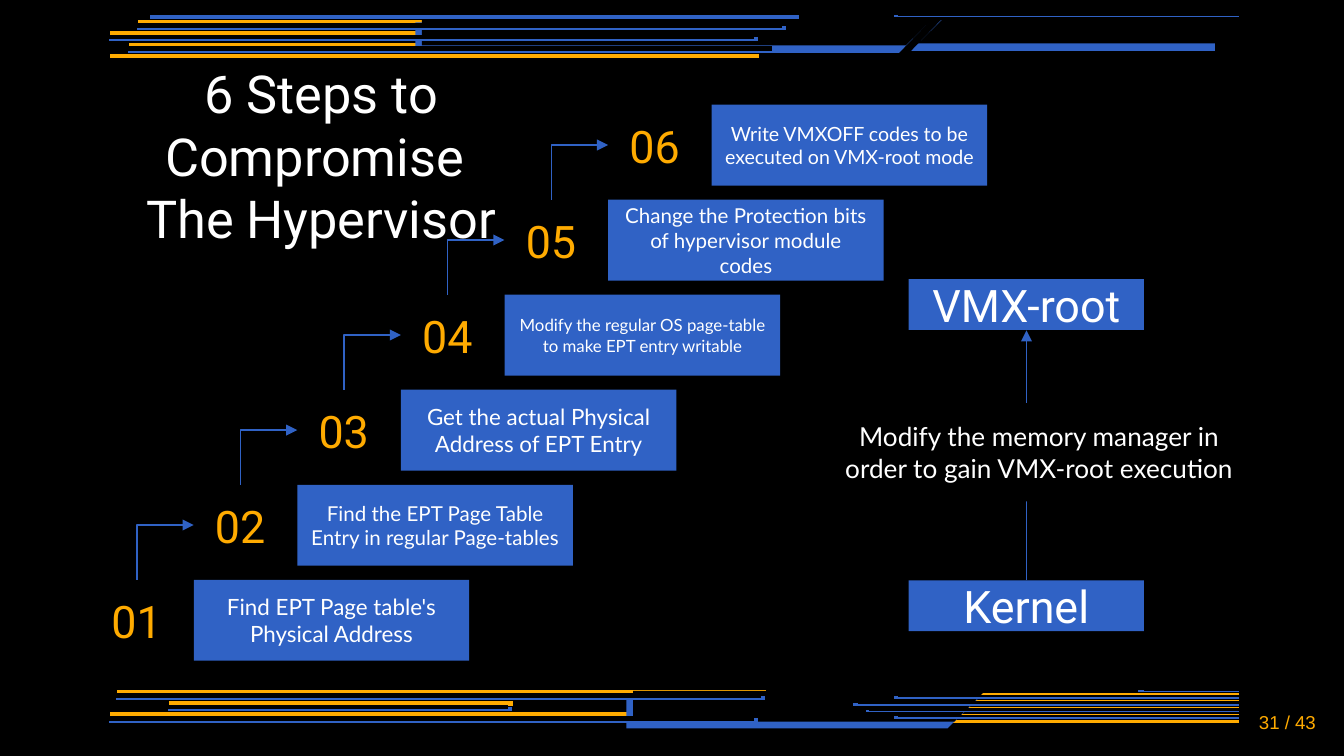
"""Build the slide with the six steps that compromise the hypervisor."""
from lxml import etree
from pptx import Presentation
from pptx.dml.color import RGBColor
from pptx.enum import shapes, text
from pptx.oxml import ns
from pptx.util import Pt

BLACK = RGBColor(0x00, 0x00, 0x00)
WHITE = RGBColor(0xFF, 0xFF, 0xFF)
BLUE = RGBColor(0x30, 0x62, 0xC5)
AMBER = RGBColor(0xFF, 0xAB, 0x00)

deck = Presentation()
deck.slide_width, deck.slide_height = Pt(720), Pt(405)
slide = deck.slides.add_slide(deck.slide_layouts[6])
slide.background.fill.solid()
slide.background.fill.fore_color.rgb = BLACK


def write(wording, left, top, width, height, size, font, colour, fill=None):
    if fill is None:
        box = slide.shapes.add_textbox(Pt(left), Pt(top), Pt(width), Pt(height))
    else:
        box = slide.shapes.add_shape(
            shapes.MSO_SHAPE.RECTANGLE, Pt(left), Pt(top), Pt(width), Pt(height))
        box.shadow.inherit = False
        box.fill.solid()
        box.fill.fore_color.rgb = fill
        box.line.fill.background()
    frame = box.text_frame
    frame.word_wrap = True
    frame.vertical_anchor = text.MSO_ANCHOR.MIDDLE
    frame.margin_left = frame.margin_right = Pt(7.2)
    frame.margin_top = frame.margin_bottom = Pt(7.2)
    paragraph = frame.paragraphs[0]
    paragraph.alignment = text.PP_ALIGN.CENTER
    for index, line in enumerate(wording):
        if index:
            paragraph.add_line_break()
        run = paragraph.add_run()
        run.text = line
        run.font.size = Pt(size)
        run.font.name = font
        run.font.color.rgb = colour
    return frame


def connect(start, end):
    arrow = slide.shapes.add_connector(
        shapes.MSO_CONNECTOR.STRAIGHT, *(Pt(value) for value in start + end))
    arrow.line.color.rgb = BLUE
    arrow.line.width = Pt(0.75)
    etree.SubElement(arrow.line._get_or_add_ln(), ns.qn("a:tailEnd"), type="triangle")
    etree.SubElement(arrow._element.spPr, ns.qn("a:effectLst"))
    return arrow


LONG, SHORT, THICK, THIN, EDGE = 347.8, 184.3, 2.4, 1.4, 663.8
top_stripes = [
    (BLUE, THICK, LONG, [(58.3, 18.6)]),
    (AMBER, THICK, LONG, [(74.2, 10.7), (59, 16.8), (68.9, 22.9), (59, 28.7)]),
]
top_bands = [
    (BLUE, [(504, 10.9), (488.2, 27.2), (650.9, 27.2), (650.9, 10.9)]),
    (BLACK, [(508.3, 7.2), (491.8, 23.3), (655.2, 23.3), (655.2, 7.2)]),
    (BLUE, [(222.5, 12), (222.5, 28.3), (481.7, 28.3), (497.5, 12)]),
    (BLACK, [(226.1, 8.1), (226.1, 24.3), (485.3, 24.3), (501.8, 8.1)]),
]
top_outlines = [
    (BLUE, THICK, LONG, [(80.4, 7.8), (73.5, 13.9), (58.3, 19.7), (68.4, 25.8)]),
    (BLUE, THIN, None, [(478.8, 7.9)]),
    (BLACK, THICK, LONG, [(71.3, 12.5), (56.2, 18.6), (66, 24.7), (56.2, 30.8)]),
    (BLACK, THIN, None, [(481, 7.2)]),
]
bottom_stripes = [
    (AMBER, THICK, LONG, [(62.6, 369.6), (59, 381.5)]),
    (AMBER, THICK, SHORT, [(90.7, 375.7)]),
    (AMBER, THIN, None, [(478.1, 371.5), (456.5, 375.1), (463, 378.7),
                         (478.1, 382.3), (468, 385.9)]),
]
bottom_bands = [
    (BLUE, [(335.5, 374.1), (335.5, 390.2), (507.6, 390.2), (524.2, 374.1)]),
    (BLACK, [(339.1, 370.1), (339.1, 386.6), (511.2, 386.6), (527.8, 370.1)]),
]
bottom_outlines = [
    (BLUE, THICK, LONG, [(61.9, 372.8), (58.3, 384.7)]),
    (BLUE, THICK, SHORT, [(90, 378.6)]),
    (BLUE, THIN, None, [(609.8, 369.4), (478.8, 373), (456.8, 376.6),
                        (463.7, 380.2), (478.8, 383.8)]),
    (BLACK, THICK, LONG, [(59.8, 371.4), (56.2, 383.6)]),
    (BLACK, THICK, SHORT, [(87.8, 377.5)]),
    (BLACK, THIN, None, [(612.7, 368.6), (481, 372.2), (459.4, 375.8),
                         (465.8, 379.4), (481, 383)]),
]

ornaments = []
for stripes, bands, outlines in [
    (top_stripes, top_bands, top_outlines),
    (bottom_stripes, bottom_bands, bottom_outlines),
]:
    for layer in (stripes, bands, outlines):
        if layer is bands:
            ornaments += bands
            continue
        for colour, thickness, length, corners in layer:
            for left, top in corners:
                right = left + length if length else EDGE
                bottom = top + thickness
                ornaments.append(
                    (colour, [(left, top), (left, bottom), (right, bottom), (right, top)]))

for colour, points in ornaments:
    outline = [(Pt(x), Pt(y)) for x, y in points]
    builder = slide.shapes.build_freeform(*outline[0])
    builder.add_line_segments(outline[1:], close=True)
    ornament = builder.convert_to_shape()
    ornament.shadow.inherit = False
    ornament.fill.solid()
    ornament.fill.fore_color.rgb = colour
    ornament.line.fill.background()

write(["6 Steps to Compromise ", "The Hypervisor"],
      33.8, 60.5, 276.5, 45.4, 28, "Roboto", WHITE)

steps = [
    ("Find EPT Page table's Physical Address", 12),
    ("Find the EPT Page Table Entry in regular Page-tables", 11),
    ("Get the actual Physical Address of EPT Entry", 12),
    ("Modify the regular OS page-table to make EPT entry writable", 9),
    ("Change the Protection bits of hypervisor module codes", 11),
    ("Write VMXOFF codes to be executed on VMX-root mode", 10.5),
]
RISE, RUN = 29.3, 30.4
for index, (step, size) in enumerate(steps):
    left, top = 103.8 + 55.5 * index, 310.6 - 50.9 * index
    write([step], left, top, 147.6, 43.4, size, "Lato", WHITE, BLUE)
    write([f"{index + 1:02}"], left - 55.5, top, 49.7, 43.4, 24, "Roboto", AMBER)
    if index < len(steps) - 1:
        middle_x, middle_y = left - RUN / 2, top - RISE / 2
        climb = connect((middle_x - RISE / 2, middle_y - RUN / 2),
                        (middle_x + RISE / 2, middle_y + RUN / 2))
        climb._element.spPr.find(ns.qn("a:prstGeom")).set("prst", "bentConnector2")
        climb._element.spPr.find(ns.qn("a:xfrm")).set("rot", "16200000")

connect((549.9, 311), (549.9, 177))
for level, top in [("Kernel", 311), ("VMX-root", 149.6)]:
    write([level], 486.8, top, 126, 27.2, 24, "Roboto", WHITE, BLUE)
write(["Modify the memory manager in order to gain VMX-root execution"],
      441.8, 216, 229.7, 52.6, 14, "Lato", WHITE, BLACK)

page = write(["31 / 43"], 667.4, 377.3, 45.4, 19.4, 10, "Arial", AMBER)
page.word_wrap = False
page.vertical_anchor = text.MSO_ANCHOR.TOP
page.margin_top = page.margin_bottom = Pt(3.6)
page.paragraphs[0].alignment = text.PP_ALIGN.LEFT

deck.save("out.pptx")
